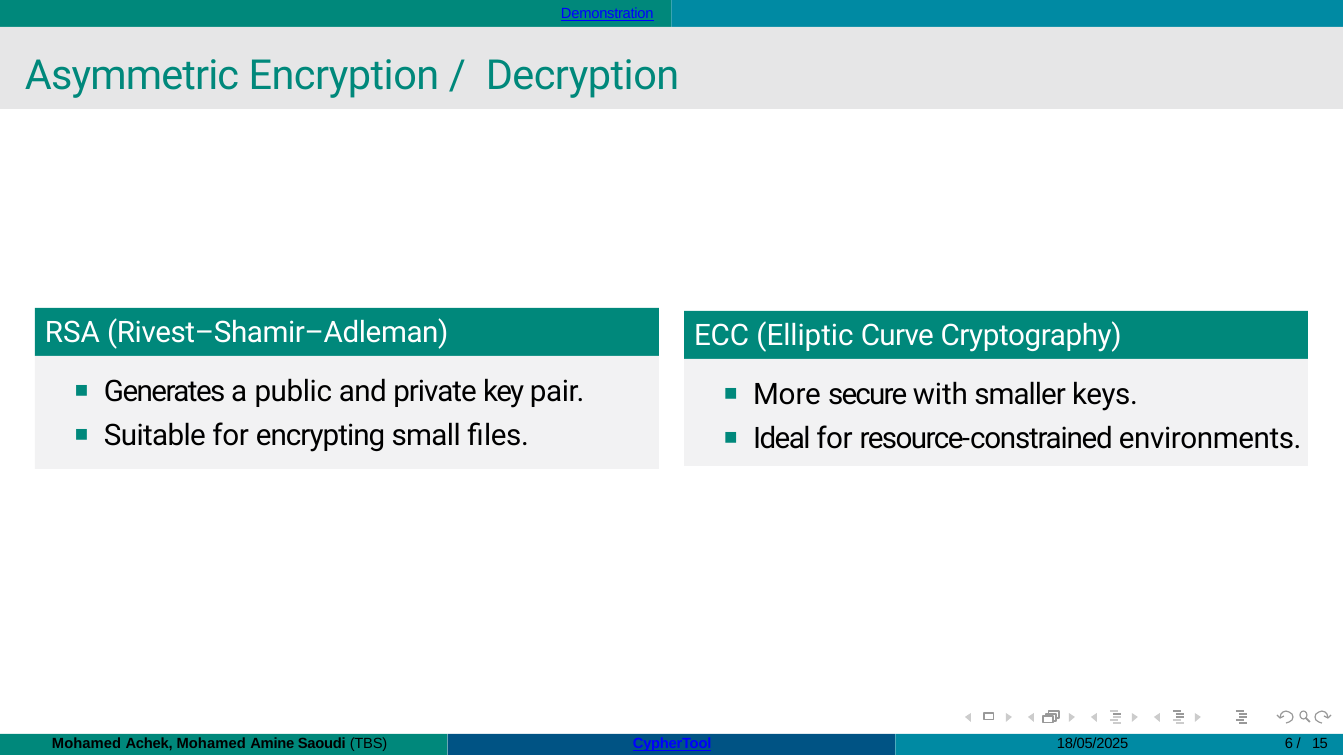
from lxml.etree import SubElement
from pptx import Presentation
from pptx.dml.color import RGBColor
from pptx.enum.shapes import MSO_CONNECTOR, MSO_SHAPE
from pptx.enum.text import MSO_ANCHOR, PP_ALIGN
from pptx.oxml.ns import qn
from pptx.util import Pt

PX = 914400 / 213
W, H = 1344, 756
COLORS = {
    "teal": "00887B", "cyan": "008AA3", "navy": "005384", "strip": "E6E6E7",
    "panel": "F2F2F3", "link": "0000FF", "black": "000000", "white": "FFFFFF",
    "dark": "999999", "light": "CCCCCC",
}
TITLE = {"name": "Roboto", "size": Pt(14), "color": "teal"}
HEAD = {"name": "Roboto", "size": Pt(10), "color": "white"}
BODY = {**HEAD, "color": "black"}
SMALL = {"name": "Arial", "size": Pt(5), "color": "black"}
BOLD = {**SMALL, "bold": True}
LINK = {**SMALL, "color": "link", "underline": True}


def px(n):
    return round(n * PX)


def rgb(name):
    return RGBColor.from_string(COLORS[name])


def paint(sp, fill=None, line=None, width=0.4):
    sp.shadow.inherit = False
    if fill:
        sp.fill.solid()
        sp.fill.fore_color.rgb = rgb(fill)
    else:
        sp.fill.background()
    if line:
        sp.line.color.rgb = rgb(line)
        sp.line.width = Pt(width)
    else:
        sp.line.fill.background()
    return sp


def shape(s, x, y, w, h, kind=MSO_SHAPE.RECTANGLE, **look):
    return paint(s.shapes.add_shape(kind, px(x), px(y), px(w), px(h)), **look)


def outline(s, paths, closed=False, **look):
    fb = s.shapes.build_freeform(*paths[0][0], scale=PX)
    for i, path in enumerate(paths):
        if i:
            fb.move_to(*path[0])
        fb.add_line_segments(path[1:], close=closed)
    return paint(fb.convert_to_shape(), **look)


def stroke(s, x1, y1, x2, y2, color):
    c = s.shapes.add_connector(MSO_CONNECTOR.STRAIGHT, px(x1), px(y1), px(x2), px(y2))
    c.line.color.rgb = rgb(color)
    c.line.width = Pt(0.6)
    SubElement(c._element.spPr, qn("a:effectLst"))


def frame(sp, left=0, top=0, wrap=False):
    tf = sp.text_frame
    values = {"margin_left": px(left), "margin_top": px(top), "margin_right": 0,
              "margin_bottom": 0, "word_wrap": wrap, "vertical_anchor": MSO_ANCHOR.TOP}
    for name, value in values.items():
        setattr(tf, name, value)
    return tf


def write(p, runs, style):
    """Add runs given as (text, letter spacing in points)."""
    p.alignment = PP_ALIGN.LEFT
    for text, spacing in runs:
        r = p.add_run()
        r.text = text
        for name, value in style.items():
            if name == "color":
                r.font.color.rgb = rgb(value)
            else:
                setattr(r.font, name, value)
        r._r.get_or_add_rPr().set("spc", str(round(spacing * 100)))


def label(s, x, y, w, h, runs, style, top=0):
    sp = s.shapes.add_textbox(px(x), px(y), px(w), px(h))
    p = frame(sp, top=top).paragraphs[0]
    write(p, runs, style)
    return p


def add_bullet(p):
    pPr = p._p.get_or_add_pPr()
    pPr.set("marL", str(px(69)))
    pPr.set("indent", str(-px(29)))
    clr = SubElement(pPr, qn("a:buClr"))
    SubElement(clr, qn("a:srgbClr")).set("val", COLORS["teal"])
    SubElement(pPr, qn("a:buSzPct")).set("val", "75000")
    SubElement(pPr, qn("a:buFont")).set("typeface", "Arial")
    SubElement(pPr, qn("a:buChar")).set("char", "■")


def header(s, x, y, w):
    half = w / 2
    for i, color in enumerate(("teal", "cyan")):
        shape(s, x + i * half, y, half, 27, fill=color)
    label(s, x + 561, y, 103, 23, [("Demonstration", -0.1)], LINK, top=4)
    shape(s, x, y + 27, w, 82, fill="strip")
    label(s, x + 25, y + 40, 690, 58, [
        ("Asymmetric ", -0.3), ("Encryption ", -0.2), ("/ ", 1.6), ("Decryption", -0.2)],
        TITLE, top=8)


def block(s, x, y, w, body_h, heading, points):
    head_h = 48
    head = shape(s, x, y, w, head_h, fill="teal")
    write(frame(head, left=10, top=5).paragraphs[0], heading, HEAD)
    body = shape(s, x, y + head_h, w, body_h, fill="panel")
    tf = frame(body, top=16, wrap=True)
    for i, runs in enumerate(points):
        p = tf.add_paragraph() if i else tf.paragraphs[0]
        if i:
            p.space_before = Pt(3)
        add_bullet(p)
        write(p, runs, BODY)


def navigation(s, x, y):
    """Row of slide navigation symbols; x, y is its top left corner."""
    for left in range(x, x + 4 * 63, 63):
        outline(s, [[(left + 6, y + 2), (left, y + 6), (left + 6, y + 11)],
                    [(left + 41, y + 2), (left + 47, y + 6), (left + 41, y + 11)]],
                closed=True, fill="light")
    shape(s, x + 19, y + 2, 10, 7, line="dark")

    shape(s, x + 78, y + 5, 10, 7, line="dark")
    outline(s, [[(x + a + 78, y + b), (x + a + 78, y + b - 2), (x + a + 88, y + b - 2),
                 (x + a + 88, y + b + 5), (x + a + 85, y + b + 5)]
                for a, b in ((3, 5), (6, 2))], line="dark")

    for left, dark_rows in ((145, {1}), (208, {0, 1, 2}), (271, set(range(5)))):
        for row, shift in enumerate((0, 3, 3, 0, 3)):
            x1, y1 = x + left + shift, y + 3 * row
            stroke(s, x1, y1, x1 + 8, y1, "dark" if row in dark_rows else "light")

    shape(s, x + 335, y, 7, 8, MSO_SHAPE.OVAL, line="dark")
    stroke(s, x + 341, y + 7, x + 345, y + 11, "dark")

    arc = [(-18, 12), (-15, 11), (-12, 9), (-11, 6), (-12, 3), (-15, 1),
           (-18, 0), (-21, 1), (-23, 3), (-24, 7)]
    tip = [(-20, 5), (-24, 7), (-27, 4)]
    for side in (1, -1):
        outline(s, [[(x + 339 + side * a, y + b) for a, b in path] for path in (arc, tip)],
                line="dark")


def footer(s, x, y, w):
    third = w / 3
    for i, color in enumerate(("teal", "navy", "cyan")):
        shape(s, x + i * third, y, third, 21, fill=color)
    authors = label(s, x + 52, y, 350, 21, [
        ("Mohamed ", 0), ("Achek, ", -0.1), ("Mohamed ", 0), ("Amine Saoudi ", -0.1)], BOLD)
    write(authors, [("(TBS)", -0.1)], SMALL)
    label(s, x + 633, y, 83, 21, [("CypherTool", -0.1)], {**LINK, "bold": True})
    label(s, x + 1057, y, 85, 21, [("18/05/2025", -0.1)], SMALL)
    label(s, x + 1285, y, 51, 21, [("6 ", -0.2), ("/ ", 1.2), ("15", -0.2)], SMALL)


def main():
    prs = Presentation()
    prs.slide_width, prs.slide_height = px(W), px(H)
    s = prs.slides.add_slide(prs.slide_layouts[6])
    navigation(s, 965, 711)
    header(s, 0, 0, W - 1)
    block(s, 35, 308, 624, 113, [("RSA ", 0), ("(Rivest–Shamir–Adleman)", -0.1)], [
        [("Generates ", -0.5), ("a ", 0), ("public ", -0.1), ("and ", -0.2),
         ("private ", -0.3), ("key ", -0.5), ("pair.", -0.1)],
        [("Suitable ", -0.2), ("for ", -0.1), ("encrypting ", -0.3),
         ("small ", -0.2), ("files.", -0.1)]])
    block(s, 684, 311, 624, 107, [
        ("ECC (Elliptic ", 0), ("Curve ", -0.2), ("Cryptography)", -0.1)], [
        [("More ", 0), ("secure ", -0.6), ("with", 0), (" smaller ", -0.3), ("keys.", -0.1)],
        [("Ideal ", -0.5), ("for ", -0.1), ("resource-", -0.5),
         ("constrained ", -0.4), ("environments.", -0.1)]])
    footer(s, 0, 734, W - 1)
    prs.save("out.pptx")


if __name__ == "__main__":
    main()
